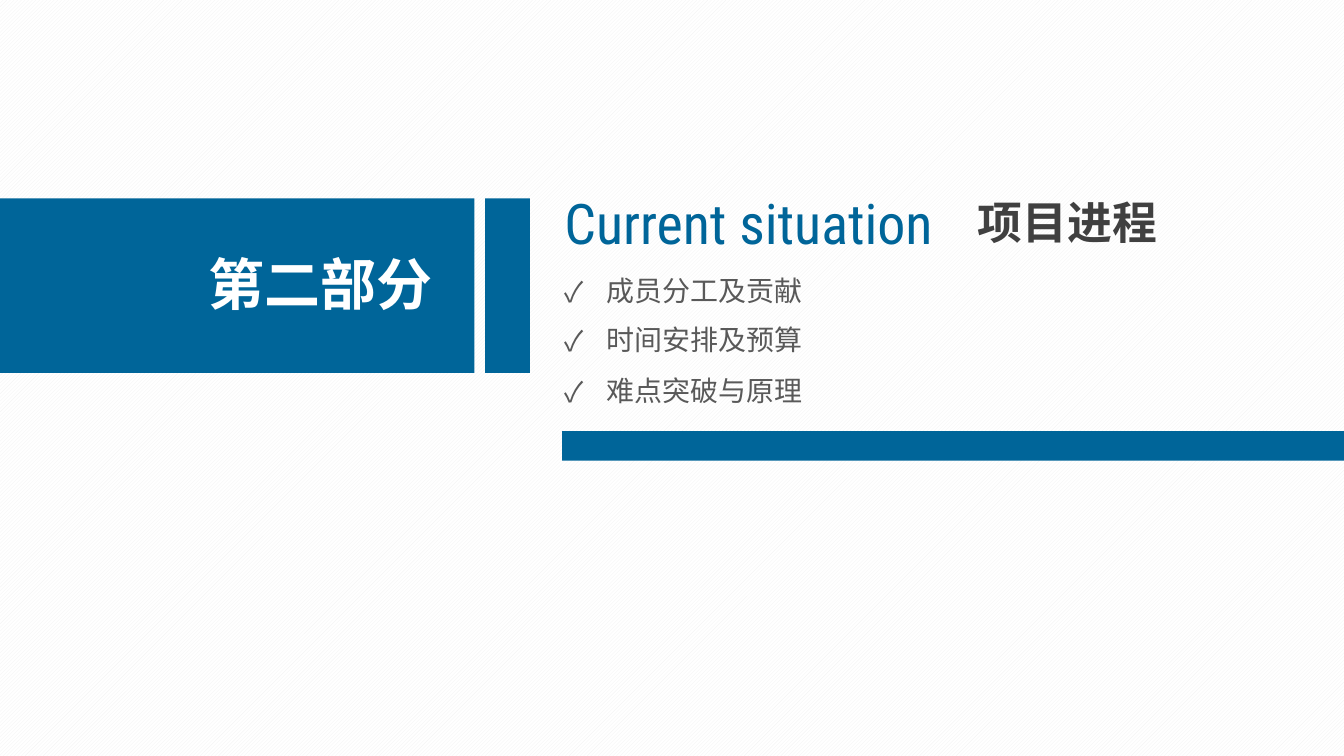
from pptx import Presentation
from pptx import util as u
from pptx.dml.color import RGBColor
from pptx.enum import dml, shapes, text
from pptx.oxml.ns import qn
from lxml import etree

theme = {
    "blue": RGBColor.from_string("006599"),
    "white": RGBColor.from_string("FFFFFF"),
    "hatch": RGBColor.from_string("F2F2F2"),
    "dark": RGBColor.from_string("404040"),
    "gray": RGBColor.from_string("595959"),
    "han": "Noto Sans CJK SC",
    "latin": "Roboto Condensed",
    "big": 30, "mid": 24, "small": 15,
}

# Wide slide, 16 to 9
deck = Presentation()
deck.slide_width = u.Inches(10)
deck.slide_height = deck.slide_width * 9 // 16
slide = deck.slides.add_slide(deck.slide_layouts[6])

# Grid of 100 columns by 100 rows
col, row = deck.slide_width / 100, deck.slide_height / 100


def place(x, y, w, h):
    return [round(n) for n in (x * col, y * row, w * col, h * row)]


def label(words, box, size, color, font="han", bold=False, mark=None):
    frame = slide.shapes.add_textbox(*place(*box)).text_frame
    frame.word_wrap = False
    frame.auto_size = text.MSO_AUTO_SIZE.SHAPE_TO_FIT_TEXT
    frame.margin_left = frame.margin_right = u.Inches(0.07)
    frame.margin_top = frame.margin_bottom = u.Inches(0.04)
    para = frame.paragraphs[0]
    if mark:
        props = para._p.get_or_add_pPr()
        props.set("marL", str(u.Inches(0.31)))
        props.set("indent", str(-u.Inches(0.31)))
        etree.SubElement(props, qn("a:buFont")).set("typeface", theme[font])
        etree.SubElement(props, qn("a:buChar")).set("char", mark)
    run = para.add_run()
    run.text = words
    run.font.size = u.Pt(theme[size])
    run.font.bold = bold
    run.font.color.rgb = theme[color]
    run.font.name = theme[font]
    east = etree.SubElement(run._r.get_or_add_rPr(), qn("a:ea"))
    east.set("typeface", theme[font])


# Hatched background
back = slide.background.fill
back.patterned()
back.pattern = dml.MSO_PATTERN.LIGHT_UPWARD_DIAGONAL
back.fore_color.rgb = theme["hatch"]
back.back_color.rgb = theme["white"]

# Blue bars: section block, slim block, rule under the list
top, tall = 26.25, 23.1
for box in ((0, top, 35.3, tall), (36.1, top, 3.33, tall),
            (41.83, 57.04, 58.17, 3.9)):
    bar = slide.shapes.add_shape(shapes.MSO_SHAPE.RECTANGLE, *place(*box))
    bar.shadow.inherit = False
    bar.fill.solid()
    bar.fill.fore_color.rgb = theme["blue"]
    bar.line.fill.background()

# Section number and titles
label("第二部分", (14.8, 32.36, 18.3, 10.31), "big", "white", bold=True)
label("Current situation", (41.3, 24.18, 31, 10.31), "big", "blue", "latin")
label("项目进程", (72.05, 25.07, 15, 8.53), "mid", "dark", bold=True)

# Checked list
for words, y in (("成员分工及贡献", 35.5), ("时间安排及预算", 41.9),
                 ("难点突破与原理", 48.71)):
    label(words, (41.3, y, 19.4, 5.87), "small", "gray", mark="✓")

deck.save("out.pptx")
